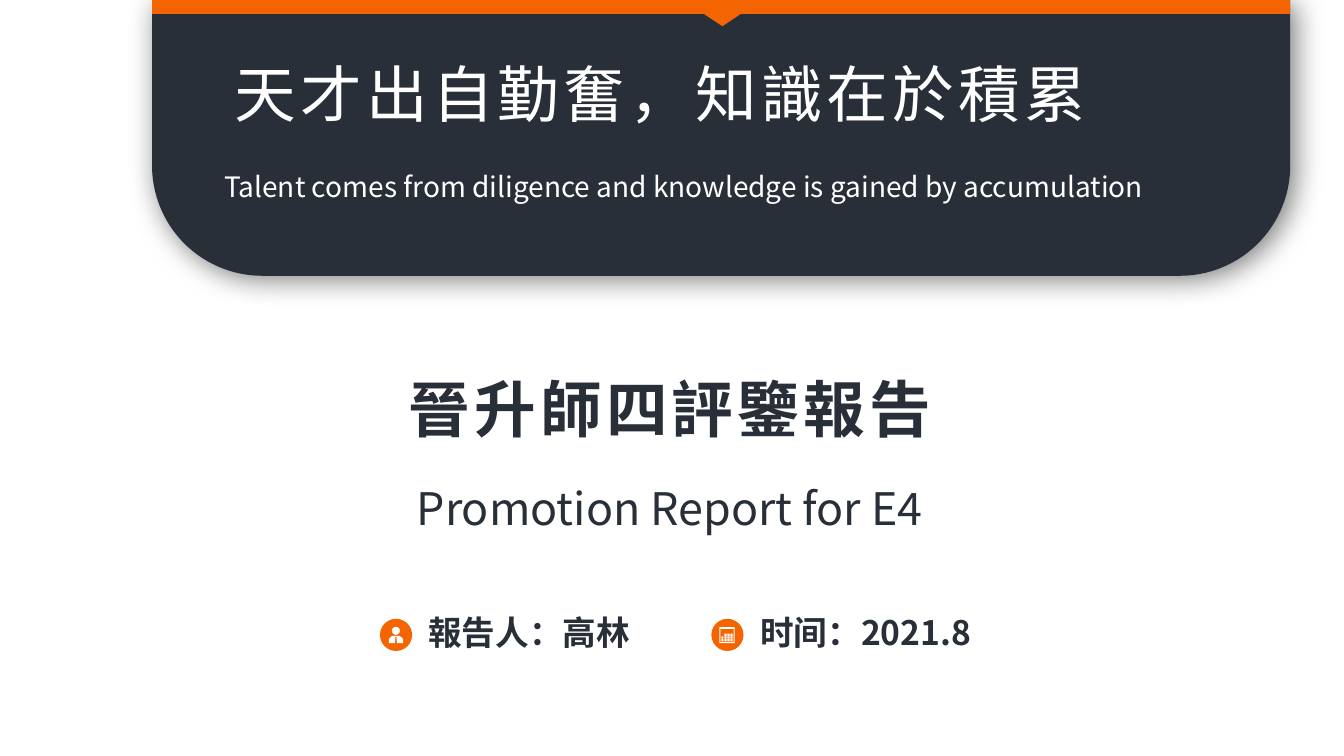
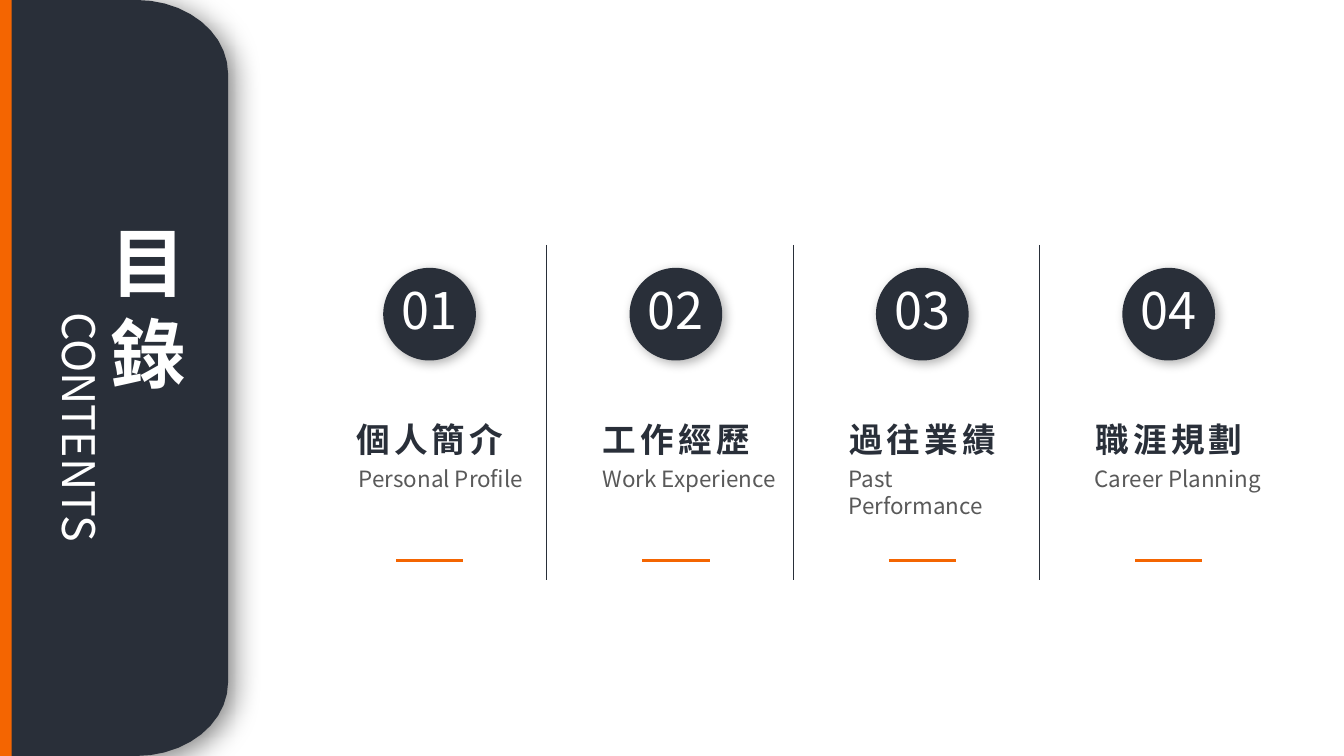
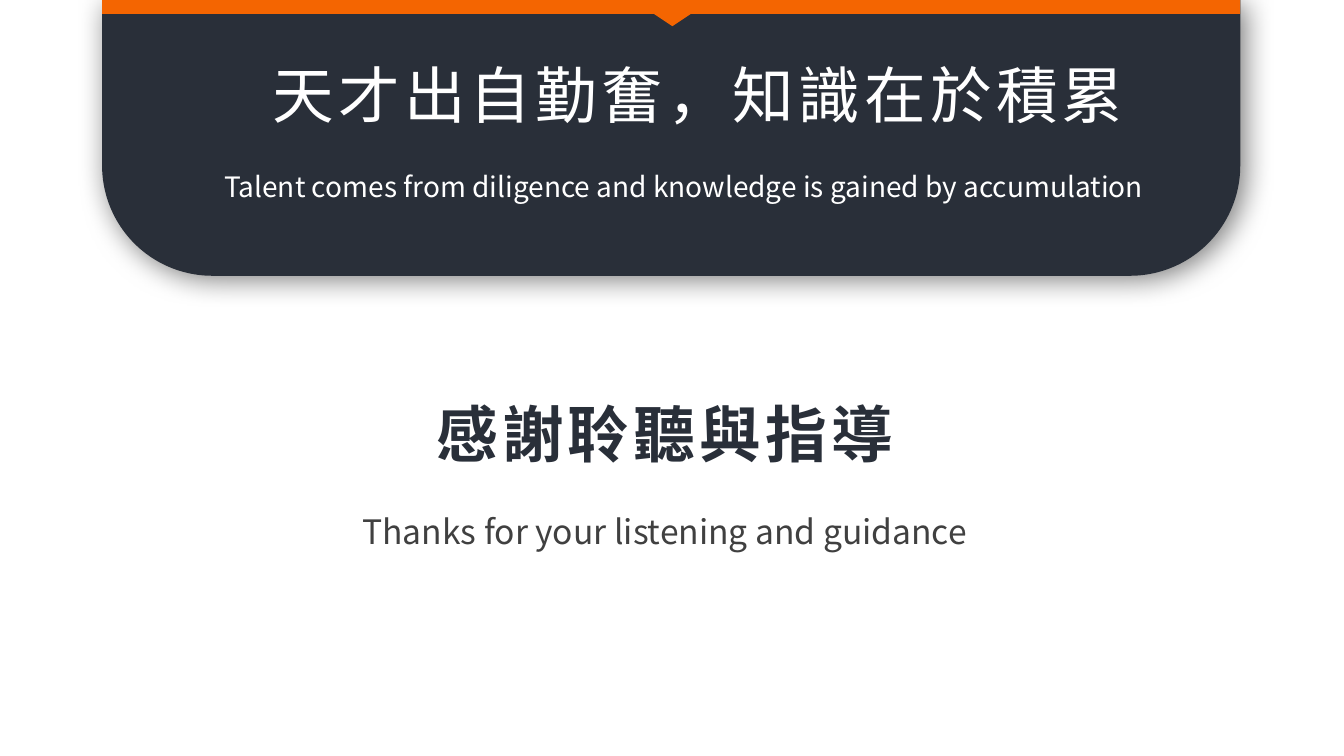
from math import cos, pi, sin

from pptx import Presentation
from pptx.dml.color import RGBColor
from pptx.enum.shapes import MSO_CONNECTOR, MSO_SHAPE
from pptx.enum.text import MSO_ANCHOR, PP_ALIGN
from pptx.oxml.ns import qn
from pptx.util import Pt
from lxml import etree

LEFT, CENTER = PP_ALIGN.LEFT, PP_ALIGN.CENTER
TOP, MIDDLE = MSO_ANCHOR.TOP, MSO_ANCHOR.MIDDLE
RECT, OVAL = MSO_SHAPE.RECTANGLE, MSO_SHAPE.OVAL
TRIANGLE = MSO_SHAPE.ISOSCELES_TRIANGLE
ROUND_TWO = MSO_SHAPE.ROUND_2_SAME_RECTANGLE
STRAIGHT = MSO_CONNECTOR.STRAIGHT


class Theme:
    font = "Noto Sans CJK SC"
    dark = RGBColor(0x29, 0x2F, 0x39)
    orange = RGBColor(0xF4, 0x65, 0x01)
    white = RGBColor(0xFF, 0xFF, 0xFF)
    gray = RGBColor(0x59, 0x59, 0x59)
    coal = RGBColor(0x40, 0x40, 0x40)
    # Shadows: opacity in percent, blur and distance in points
    deep = (50, 20, 5)
    soft = (30, 8, 3)
    # Text styles: size, colour, bold, align, anchor, line spacing, tracking
    motto = (44, white, False, CENTER, TOP, 1, 3)
    saying = (20, white, False, CENTER, MIDDLE, 1.2, 0)
    title = (44, dark, True, CENTER, TOP, 1, 3)
    english = (32, dark, False, CENTER, MIDDLE, 1.2, 0)
    thanks = (24, coal, False, CENTER, MIDDLE, 1.2, 0)
    label = (24, dark, True, LEFT, TOP, 1, 0)
    side = (54, white, True, LEFT, MIDDLE, 1, 0)
    aside = (32, white, False, LEFT, MIDDLE, 0.9, 0)
    number = (36, white, False, CENTER, MIDDLE, 0.9, 0)
    topic = (24, dark, True, CENTER, MIDDLE, 0.9, 3)
    detail = (16, gray, False, LEFT, TOP, 1, 0)


def paint(shape, color, shadow=None):
    """Give a shape a plain fill, no outline and, if asked, a soft shadow."""
    shape.fill.solid()
    shape.fill.fore_color.rgb = color
    shape.line.fill.background()
    shape.shadow.inherit = False
    if shadow:
        alpha, blur, dist = shadow
        effects = shape._element.spPr.find(qn("a:effectLst"))
        outer = etree.SubElement(effects, qn("a:outerShdw"), {
            "blurRad": str(Pt(blur)), "dist": str(Pt(dist)),
            "dir": "2700000", "algn": "tl", "rotWithShape": "0"})
        tint = etree.SubElement(outer, qn("a:srgbClr"), val="000000")
        etree.SubElement(tint, qn("a:alpha"), val=str(alpha * 1000))
    return shape


def write(slide, text, style, box, pad=(7.2, 3.6)):
    """Add a text box; box is left, top, width, height in points."""
    size, color, bold, align, anchor, spacing, track = style
    shape = slide.shapes.add_textbox(*map(Pt, box))
    frame = shape.text_frame
    side, edge = map(Pt, pad)
    para = frame.paragraphs[0]
    run = para.add_run()
    run.text = text
    formats = {
        frame: {"word_wrap": True, "vertical_anchor": anchor,
                "margin_left": side, "margin_right": side,
                "margin_top": edge, "margin_bottom": edge},
        para: {"alignment": align, "line_spacing": spacing},
        run.font: {"size": Pt(size), "bold": bold, "name": Theme.font},
    }
    for target, values in formats.items():
        for name, value in values.items():
            setattr(target, name, value)
    run.font.color.rgb = color
    props = run._r.get_or_add_rPr()
    etree.SubElement(props, qn("a:ea"), typeface=Theme.font)
    if track:
        props.set("spc", str(track * 100))
    return shape


deck = Presentation()
deck.slide_width, deck.slide_height = Pt(960), Pt(540)
cover, agenda, closing = [
    deck.slides.add_slide(deck.slide_layouts[6]) for _ in range(3)]

# Header panel on the first and last slides
WIDE = 813
for slide, left, motto in ((cover, 108.6, (152, 37, 640, 59)),
                           (closing, 72.9, (180.7, 37.7, 636.5, 59))):
    panel = slide.shapes.add_shape(
        ROUND_TWO, Pt(left), Pt(0), Pt(WIDE), Pt(197))
    panel.adjustments[0], panel.adjustments[1] = 0, 0.4
    paint(panel, Theme.dark, Theme.deep)
    band = slide.shapes.add_shape(RECT, Pt(left), Pt(0), Pt(WIDE), Pt(10))
    paint(band, Theme.orange)
    notch = slide.shapes.add_shape(
        TRIANGLE, Pt(left + WIDE / 2 - 17.5), Pt(6.5), Pt(36.7), Pt(12.2))
    paint(notch, Theme.orange).rotation = 180
    write(slide, "天才出自勤奮，知識在於積累", Theme.motto, motto, (5, 3))
    write(slide, "Talent comes from diligence and knowledge is gained by "
          "accumulation", Theme.saying, (118.5, 95.8, 740, 70))

# Cover
write(cover, "晉升師四評鑒報告", Theme.title, (103.9, 262, 749.5, 59), (5, 3))
write(cover, "Promotion Report for E4", Theme.english, (170, 339.5, 617, 38))
write(cover, "報告人：高林", Theme.label, (298.8, 433.8, 171, 36.5))
write(cover, "时间：2021.8", Theme.label, (536, 433.8, 201, 36.5))

# Icons: outlines in points from the corner of the disc
head = [(11.4 + 2.9 * cos(pi * step / 6), 8.6 + 2.9 * sin(pi * step / 6))
        for step in range(12)]
body = [(8.5, 12.3), (14.3, 12.3), (16.5, 14.4), (16.5, 17.4), (12.2, 17.4),
        (11.8, 14), (12.2, 13.1), (10.6, 13.1), (11, 14), (10.6, 17.4),
        (6.3, 17.4), (6.3, 14.4)]
boxes = [(5.8, 5.9, 10.8, 11.5), (6.5, 7.2, 9.4, 9.5)]
for row in range(3):
    for col in range(row == 0, 4):
        boxes.append((7.2 + col * 2.16, 10.7 + row * 1.95, 1.5, 1.5))
month = [[(x, y), (x + w, y), (x + w, y + h), (x, y + h)]
         for x, y, w, h in boxes]
for left, loops in ((271.4, [head, body]), (508.1, month)):
    top = 442
    disc = cover.shapes.add_shape(OVAL, Pt(left), Pt(top), Pt(23), Pt(23))
    paint(disc, Theme.orange)
    glyph = None
    for loop in loops:
        start, *rest = [(round((left + x) * 100), round((top + y) * 100))
                        for x, y in loop]
        if glyph is None:
            glyph = cover.shapes.build_freeform(*start, scale=Pt(1) / 100)
        else:
            glyph.move_to(*start)
        glyph.add_line_segments(rest)
    paint(glyph.convert_to_shape(), Theme.white)

# Contents: side panel with rounded right corners
EDGE, BEND, RISE, TALL = 162.9, 65.5, 52.6, 540
turns = [pi / 2 * step / 10 for step in range(11)]
upper = [(EDGE - BEND + BEND * sin(turn), RISE - RISE * cos(turn))
         for turn in turns]
lower = [(x, TALL - y) for x, y in reversed(upper)]
outline = agenda.shapes.build_freeform(0, 0, scale=Pt(1) / 100)
outline.add_line_segments(
    [(round(x * 100), round(y * 100)) for x, y in upper + lower]
    + [(0, TALL * 100)])
paint(outline.convert_to_shape(), Theme.dark, Theme.deep)
band = agenda.shapes.add_shape(RECT, Pt(0), Pt(0), Pt(8.4), Pt(TALL))
paint(band, Theme.orange)
write(agenda, "CONTENTS", Theme.aside, (-53.1, 304, 216, 39.6)).rotation = 90
write(agenda, "目錄", Theme.side, (72, 199.4, 79.2, 39.6))

# Contents: four topics and the rules between them
STEP = 176
rules = []
topics = [("個人簡介", "Personal Profile", 17.2),
          ("工作經歷", "Work Experience", 15.4),
          ("過往業績", "Past Performance", 15),
          ("職涯規劃", "Career Planning", 14.6)]
for index, (topic, detail, inset) in enumerate(topics):
    left = 233.2 + index * STEP
    write(agenda, topic, Theme.topic, (left, 295.6, 147.6, 39.6))
    write(agenda, detail, Theme.detail, (left + inset, 329, 138, 25.2), (6, 3))
    disc = agenda.shapes.add_shape(
        OVAL, Pt(left + 40.5), Pt(191.3), Pt(66.2), Pt(66.2))
    paint(disc, Theme.dark, Theme.soft)
    write(agenda, f"{index + 1:02}", Theme.number,
          (left + 42.2, 209.5, 62.6, 28.8))
    rules.append((left + 49.7, 400.3, left + 97.7, 400.3, Theme.orange, 2.25))
    if index:
        rules.append((left - 18.6, 175, left - 18.6, 414, Theme.dark, 0.5))
for *ends, color, width in rules:
    rule = agenda.shapes.add_connector(STRAIGHT, *map(Pt, ends))
    rule.line.color.rgb = color
    rule.line.width = Pt(width)
    etree.SubElement(rule._element.spPr, qn("a:effectLst"))

# Closing
write(closing, "感謝聆聽與指導", Theme.title, (145.4, 280, 659, 59), (5, 3))
write(closing, "Thanks for your listening and guidance", Theme.thanks,
      (166.3, 357.8, 617, 38))

deck.save("out.pptx")
